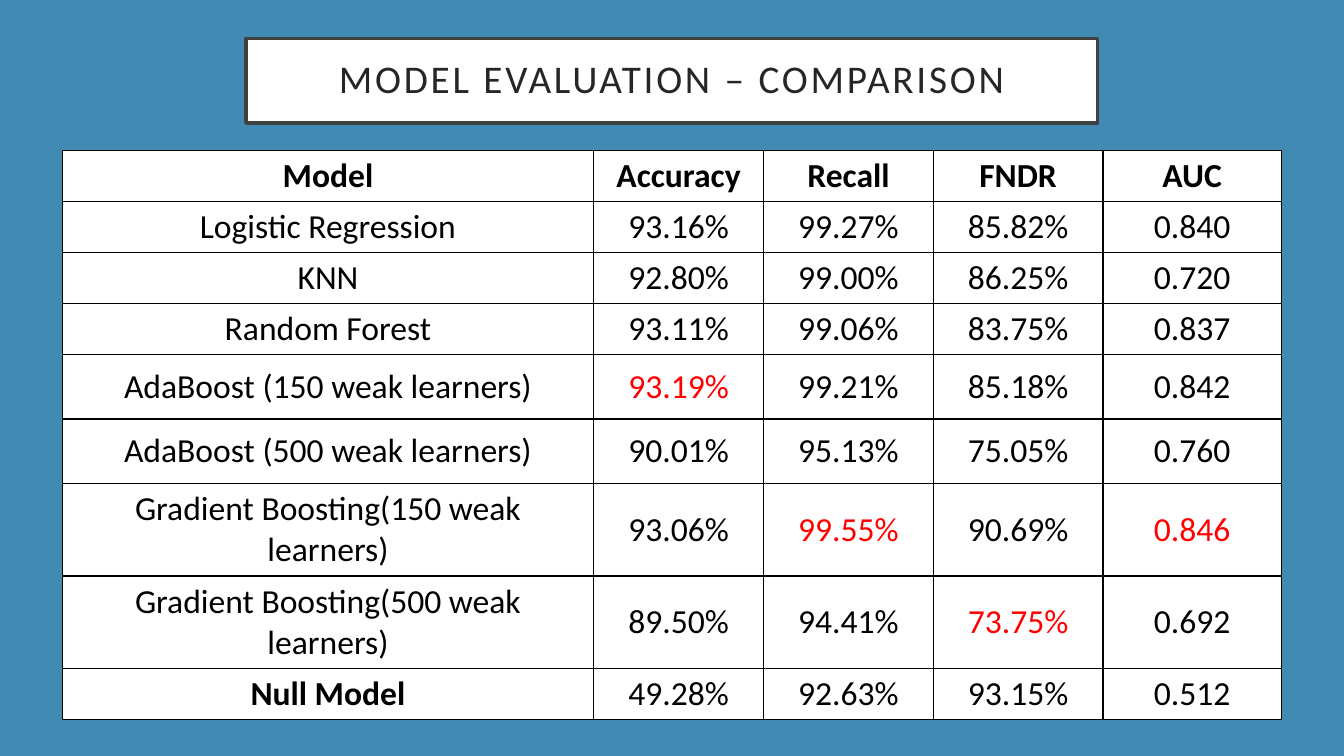
from lxml import etree
from pptx import Presentation
from pptx.dml.color import RGBColor
from pptx.enum import shapes, text
from pptx.oxml.ns import qn
from pptx.util import Pt

TITLE = "MODEL EVALUATION – COMPARISON"
HEADER = ("Model", "Accuracy", "Recall", "FNDR", "AUC")
RESULTS = [
    ("Logistic Regression", "93.16%", "99.27%", "85.82%", "0.840"),
    ("KNN", "92.80%", "99.00%", "86.25%", "0.720"),
    ("Random Forest", "93.11%", "99.06%", "83.75%", "0.837"),
    ("AdaBoost (150 weak learners)", "93.19%", "99.21%", "85.18%", "0.842"),
    ("AdaBoost (500 weak learners)", "90.01%", "95.13%", "75.05%", "0.760"),
    ("Gradient Boosting(150 weak learners)", "93.06%", "99.55%", "90.69%", "0.846"),
    ("Gradient Boosting(500 weak learners)", "89.50%", "94.41%", "73.75%", "0.692"),
    ("Null Model", "49.28%", "92.63%", "93.15%", "0.512"),
]
BEST = {"Accuracy": "93.19%", "Recall": "99.55%", "FNDR": "73.75%", "AUC": "0.846"}
BOLD_LABELS = {*HEADER, "Null Model"}
COLUMN_WIDTHS = (379.4, 121.5, 121.2, 121.2, 127.4)
ROW_HEIGHTS = (33.1, 33.1, 33.1, 33.1, 46, 46, 66.2, 66.2, 33.1)
COLORS = {"background": "418AB3", "white": "FFFFFF", "frame": "404040",
          "title": "262626", "black": "000000", "best": "FF0000"}
FONT = "Calibri"


def color(name):
    return RGBColor.from_string(COLORS[name])


def fill_solid(fill, name):
    fill.solid()
    fill.fore_color.rgb = color(name)


def style_paragraph(para, size, color_name, bold=False):
    para.alignment = text.PP_ALIGN.CENTER
    para.font.name = FONT
    para.font.size = Pt(size)
    para.font.bold = bold
    para.font.color.rgb = color(color_name)


def add_borders(cell):
    """Draw a 1 pt black line on all four sides; lines must precede the fill."""
    properties = cell._tc.get_or_add_tcPr()
    for index, side in enumerate(("a:lnL", "a:lnR", "a:lnT", "a:lnB")):
        line = etree.Element(qn(side), w=str(Pt(1)))
        solid = etree.SubElement(line, qn("a:solidFill"))
        etree.SubElement(solid, qn("a:srgbClr"), val=COLORS["black"])
        properties.insert(index, line)


def add_title(page):
    box = page.shapes.add_shape(shapes.MSO_SHAPE.RECTANGLE,
                                Pt(175.7), Pt(27.4), Pt(608.4), Pt(60.5))
    box.shadow.inherit = False
    fill_solid(box.fill, "white")
    box.line.color.rgb = color("frame")
    box.line.width = Pt(2.5)
    frame = box.text_frame
    frame.word_wrap = True
    frame.vertical_anchor = text.MSO_ANCHOR.MIDDLE
    frame.margin_left = frame.margin_right = Pt(14.4)
    frame.margin_top = frame.margin_bottom = Pt(14.4)
    para = frame.paragraphs[0]
    span = para.add_run()
    span.text = TITLE
    span.font._element.set("spc", "200")
    style_paragraph(para, 28, "title")
    para.line_spacing = 0.9


def add_results(page):
    rows = [HEADER, *RESULTS]
    table = page.shapes.add_table(len(rows), len(HEADER), Pt(44.6), Pt(107.3),
                                  Pt(sum(COLUMN_WIDTHS)), Pt(sum(ROW_HEIGHTS))).table
    table.horz_banding = False
    for column, width in zip(table.columns, COLUMN_WIDTHS):
        column.width = Pt(width)
    for row, height, values in zip(table.rows, ROW_HEIGHTS, rows):
        row.height = Pt(height)
        for cell, heading, value in zip(row.cells, HEADER, values):
            cell.text = value
            cell.vertical_anchor = text.MSO_ANCHOR.MIDDLE
            fill_solid(cell.fill, "white")
            add_borders(cell)
            shade = "best" if BEST.get(heading) == value else "black"
            style_paragraph(cell.text_frame.paragraphs[0], 24, shade, value in BOLD_LABELS)


def main():
    deck = Presentation()
    deck.slide_width, deck.slide_height = Pt(960), Pt(540)
    page = deck.slides.add_slide(deck.slide_layouts[6])
    fill_solid(page.background.fill, "background")
    add_title(page)
    add_results(page)
    deck.save("out.pptx")


if __name__ == "__main__":
    main()
